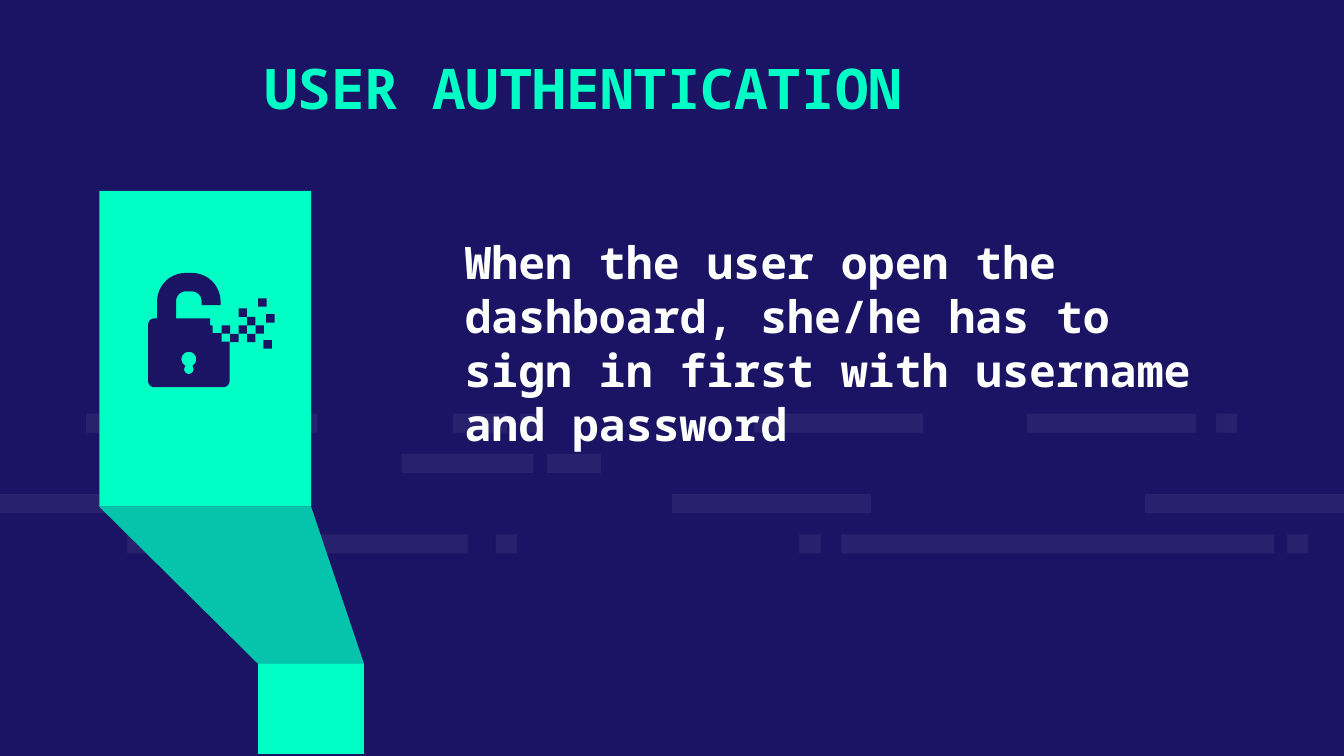
from math import cos, radians, sin

from lxml import etree
from pptx import Presentation
from pptx.dml.color import RGBColor
from pptx.enum.shapes import MSO_SHAPE
from pptx.enum.text import MSO_ANCHOR, MSO_AUTO_SIZE, PP_ALIGN
from pptx.oxml.ns import qn
from pptx.util import Cm, Pt

RECTANGLE = MSO_SHAPE.RECTANGLE
TOP, BOTTOM = MSO_ANCHOR.TOP, MSO_ANCHOR.BOTTOM
LEFT, CENTER = PP_ALIGN.LEFT, PP_ALIGN.CENTER
NO_AUTOFIT = MSO_AUTO_SIZE.NONE

THEME = {
    "navy": RGBColor(0x1B, 0x14, 0x64),
    "mint": RGBColor(0x00, 0xFF, 0xC5),
    "white": RGBColor(0xFF, 0xFF, 0xFF),
    "font": "Noto Sans Mono",
    "title_size": Pt(30),
    "body_size": Pt(24),
    "bar_opacity": 6,
    "shade_opacity": 25,
}

# All lengths are in centimetres.
SLIDE_SIZE = (25.4, 14.29)
TITLE = "USER AUTHENTICATION"
TITLE_BOX = (1.88, 0.76, 18.29, 1.85)
BODY = ("When the user open the dashboard, she/he has to sign in first "
        "with username and password")
BODY_BOX = (8.53, 7.32, 14.99, 1.19)

# Each row of background bars lists (left, width).
BAR_ROWS = [
    [(1.63, 0.39), (2.29, 3.71), (8.56, 1.03), (9.83, 0.39),
     (14.25, 3.2), (19.41, 3.2), (22.99, 0.39)],
    [(7.59, 2.49), (10.34, 1.02)],
    [(0, 3.76), (12.7, 3.76), (21.64, 3.76)],
    [(2.41, 0.4), (3.2, 5.64), (9.37, 0.4), (15.11, 0.4),
     (15.9, 8.18), (24.33, 0.4)],
]
BAR_TOP, BAR_PITCH, BAR_HEIGHT = 7.82, 0.76, 0.36

RIBBON_FRONT = (1.88, 3.61, 4.0, 5.97)
RIBBON_TAB = (4.88, 12.55, 2.0, 1.7)

PIXEL = 0.16
PIXEL_ORIGIN = (4.19, 5.83)
PIXEL_CELLS = [(0, 2), (1, 3), (2, 0), (2, 2), (3, 1), (3, 3), (4, 2)]
LOOSE_PIXELS = [(4.98, 6.43), (5.03, 5.94), (4.88, 5.64)]


def arc(x, y, radius, start, end, steps=12):
    """Points along a circle, in degrees clockwise from the right."""
    angles = [radians(start + (end - start) * i / steps) for i in range(steps + 1)]
    return [(x + radius * cos(a), y + radius * sin(a)) for a in angles]


LOCK_OUTLINE = [
    *arc(3.51, 5.7, 0.54, 270, 180), (2.97, 6.02),
    *arc(2.92, 6.14, 0.12, 270, 180),
    *arc(2.92, 7.2, 0.12, 180, 90),
    *arc(4.22, 7.2, 0.12, 90, 0),
    (4.34, 6.46), (4.19, 6.46), (4.19, 6.3), (4.02, 6.3),
    (4.02, 6.15), (3.97, 6.15), (3.97, 6.02), (3.33, 6.02),
    *arc(3.51, 5.69, 0.18, 180, 270),
    *arc(3.63, 5.69, 0.18, 270, 360),
    (3.81, 5.77), (4.17, 5.77),
    *arc(3.63, 5.7, 0.54, 0, -90),
]
KEYHOLE = [*arc(3.57, 6.79, 0.14, 120, 420, 24), *arc(3.57, 6.98, 0.09, 0, 180)]


def paint(shape, color, opacity=100):
    shape.shadow.inherit = False
    shape.line.fill.background()
    shape.fill.solid()
    shape.fill.fore_color.rgb = color
    if opacity < 100:
        color_element = shape._element.spPr.find(qn("a:solidFill"))[0]
        etree.SubElement(color_element, qn("a:alpha"), val=str(opacity * 1000))


def add_block(slide, box, color, opacity=100):
    shape = slide.shapes.add_shape(RECTANGLE, *map(Cm, box))
    paint(shape, color, opacity)


def add_outline(slide, contours, color, opacity=100):
    contours = [[(Cm(x), Cm(y)) for x, y in contour] for contour in contours]
    builder = slide.shapes.build_freeform(*contours[0][0])
    builder.add_line_segments(contours[0][1:], close=True)
    for contour in contours[1:]:
        builder.move_to(*contour[0])
        builder.add_line_segments(contour[1:], close=True)
    paint(builder.convert_to_shape(), color, opacity)


def write_text(shape, box, text, color, size, alignment, anchor, bottom_inset):
    shape.left, shape.top, shape.width, shape.height = map(Cm, box)
    frame = shape.text_frame
    frame_format = {
        "word_wrap": True, "auto_size": NO_AUTOFIT, "vertical_anchor": anchor,
        "margin_left": Cm(0.25), "margin_right": Cm(0.25),
        "margin_top": Cm(0.25), "margin_bottom": Cm(bottom_inset),
    }
    for name, value in frame_format.items():
        setattr(frame, name, value)
    paragraph = frame.paragraphs[0]
    paragraph.alignment = alignment
    run = paragraph.add_run()
    run.text = text
    for name, value in {"name": THEME["font"], "size": size, "bold": True}.items():
        setattr(run.font, name, value)
    run.font.color.rgb = color


def draw_bars(slide):
    for row, bars in enumerate(BAR_ROWS):
        top = BAR_TOP + row * BAR_PITCH
        for left, width in bars:
            add_block(slide, (left, top, width, BAR_HEIGHT),
                      THEME["white"], THEME["bar_opacity"])


def draw_ribbon(slide):
    left, top, width, height = RIBBON_FRONT
    tab_left, tab_top, tab_width, _ = RIBBON_TAB
    fold = [(left, top + height), (left + width, top + height),
            (tab_left + tab_width, tab_top), (tab_left, tab_top)]
    add_outline(slide, [fold], THEME["mint"])
    add_outline(slide, [fold], THEME["navy"], THEME["shade_opacity"])
    for box in (RIBBON_TAB, RIBBON_FRONT):
        add_block(slide, box, THEME["mint"])


def draw_lock(slide):
    add_outline(slide, [LOCK_OUTLINE, KEYHOLE], THEME["navy"])
    left, top = PIXEL_ORIGIN
    grid_pixels = [(left + column * PIXEL, top + row * PIXEL)
                   for column, row in PIXEL_CELLS]
    for x, y in grid_pixels + LOOSE_PIXELS:
        add_block(slide, (x, y, PIXEL, PIXEL), THEME["navy"])


def main():
    presentation = Presentation()
    presentation.slide_width, presentation.slide_height = map(Cm, SLIDE_SIZE)
    slide = presentation.slides.add_slide(presentation.slide_layouts[5])
    slide.background.fill.solid()
    slide.background.fill.fore_color.rgb = THEME["navy"]

    draw_bars(slide)
    write_text(slide.shapes.title, TITLE_BOX, TITLE, THEME["mint"],
               THEME["title_size"], CENTER, TOP, 0.25)
    draw_ribbon(slide)
    body = slide.shapes.add_textbox(*map(Cm, BODY_BOX))
    write_text(body, BODY_BOX, BODY, THEME["white"],
               THEME["body_size"], LEFT, BOTTOM, 0)
    draw_lock(slide)
    presentation.save("out.pptx")


if __name__ == "__main__":
    main()
